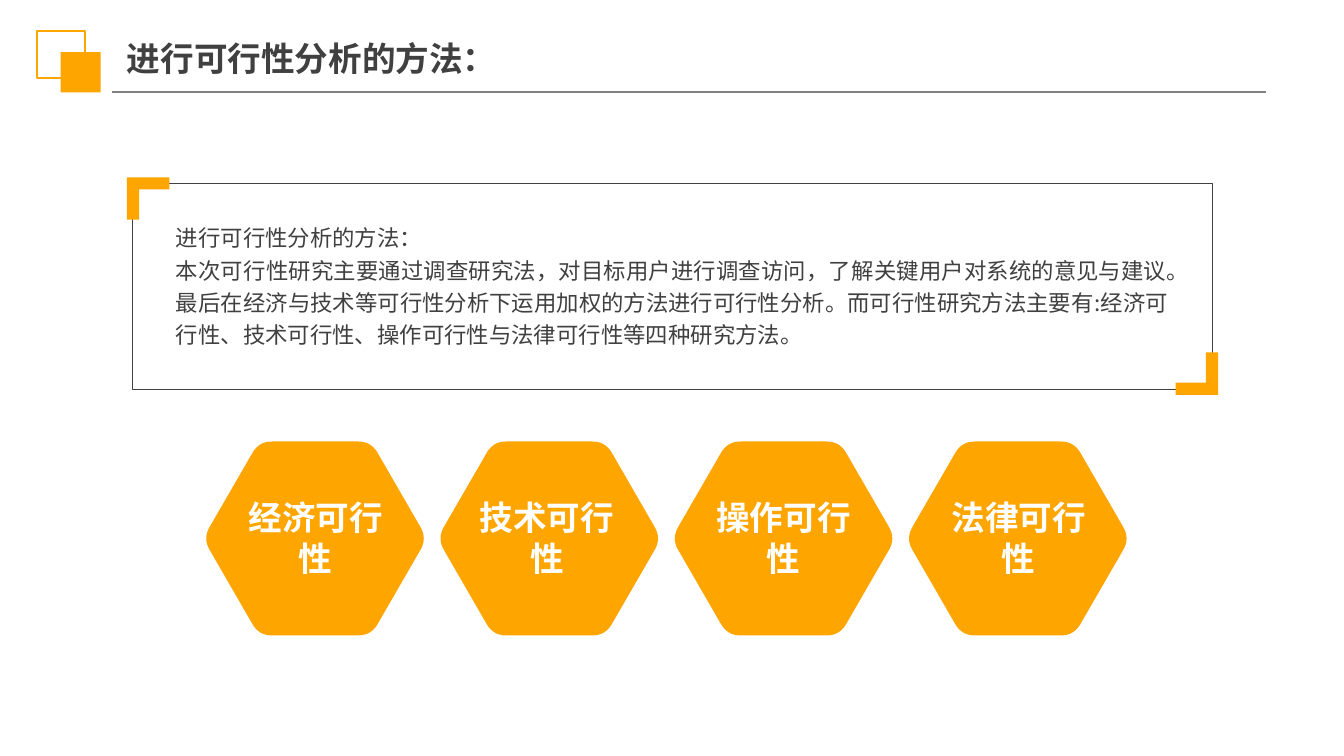
from math import cos, sin, pi

from lxml import etree
from pptx import Presentation
from pptx.dml.color import RGBColor
from pptx.enum.shapes import MSO_CONNECTOR, MSO_SHAPE
from pptx.enum.text import MSO_ANCHOR, MSO_AUTO_SIZE, PP_ALIGN
from pptx.oxml.ns import qn
from pptx.util import Pt

FONT = "Noto Sans CJK SC"
ORANGE = RGBColor(0xFF, 0xA5, 0x00)
DARK = RGBColor(0x40, 0x40, 0x40)
GRAY = RGBColor(0x80, 0x80, 0x80)
WHITE = RGBColor(0xFF, 0xFF, 0xFF)


def add_run(para, text, size, color, bold=False):
    run = para.add_run()
    run.text = text
    font = run.font
    font.size, font.bold, font.name = Pt(size), bold, FONT
    font.color.rgb = color
    etree.SubElement(run._r.get_or_add_rPr(), qn("a:ea"), typeface=FONT)


def add_shape(points):
    """Draw a closed orange outline through points given in points."""
    spots = [(x * 100, y * 100) for x, y in points]
    pen = slide.shapes.build_freeform(*spots[0], scale=Pt(1) / 100)
    pen.add_line_segments(spots[1:], close=True)
    shape = pen.convert_to_shape()
    shape.shadow.inherit = False
    shape.fill.solid()
    shape.fill.fore_color.rgb = ORANGE
    shape.line.fill.background()
    return shape


deck = Presentation()
deck.slide_width, deck.slide_height = Pt(720), Pt(405)
slide = deck.slides.add_slide(deck.slide_layouts[5])

# Title with its rule and squares
title = slide.shapes.title
title.left, title.top, title.width, title.height = Pt(68), Pt(16), Pt(234), Pt(30)
frame = title.text_frame
frame.margin_left = frame.margin_right = 0
frame.margin_top = frame.margin_bottom = Pt(3.6)
frame.auto_size = MSO_AUTO_SIZE.NONE
frame.word_wrap = True
frame.vertical_anchor = MSO_ANCHOR.MIDDLE
frame.paragraphs[0].alignment = PP_ALIGN.LEFT
add_run(frame.paragraphs[0], "进行可行性分析的方法：", 18, DARK, True)

rule = slide.shapes.add_connector(
    MSO_CONNECTOR.STRAIGHT, Pt(60), Pt(49.3), Pt(678), Pt(49.3))
rule.line.color.rgb = GRAY
rule.line.width = Pt(0.75)
etree.SubElement(rule._element.spPr, qn("a:effectLst"))

group = slide.shapes.add_group_shape()
for left, top, side, solid in [(20, 16.5, 25.5, False), (32.5, 28, 21.5, True)]:
    square = group.shapes.add_shape(
        MSO_SHAPE.RECTANGLE, Pt(left), Pt(top), Pt(side), Pt(side))
    square.shadow.inherit = False
    if solid:
        square.fill.solid()
        square.fill.fore_color.rgb = ORANGE
        square.line.fill.background()
    else:
        square.fill.background()
        square.line.color.rgb = ORANGE
        square.line.width = Pt(1)

# Framed text
box = slide.shapes.add_shape(
    MSO_SHAPE.ROUNDED_RECTANGLE, Pt(70.9), Pt(98.4), Pt(578.4), Pt(110.2))
box.adjustments[0] = 0
box.shadow.inherit = False
box.fill.background()
box.line.color.rgb = DARK
box.line.width = Pt(0.25)

body = slide.shapes.add_textbox(Pt(94.3), Pt(117.4), Pt(531.5), Pt(70))
frame = body.text_frame
frame.margin_left = frame.margin_top = frame.margin_right = frame.margin_bottom = 0
frame.word_wrap = True
frame.auto_size = MSO_AUTO_SIZE.SHAPE_TO_FIT_TEXT
lines = [
    "进行可行性分析的方法：",
    "本次可行性研究主要通过调查研究法，对目标用户进行调查访问，了解关键用户对系统的意见与建议。"
    "最后在经济与技术等可行性分析下运用加权的方法进行可行性分析。而可行性研究方法主要有:经济"
    "可行性、技术可行性、操作可行性与法律可行性等四种研究方法。",
]
for i, text in enumerate(lines):
    para = frame.add_paragraph() if i else frame.paragraphs[0]
    para.alignment = PP_ALIGN.JUSTIFY
    para.line_spacing = 1.2
    add_run(para, text, 12, DARK)

# Corner brackets
ARM, THICK = 22.7, 6.5
for left, top, turn in [(68, 95, 0), (629.8, 188.8, 180)]:
    bracket = add_shape([
        (left, top), (left + ARM, top), (left + ARM, top + THICK),
        (left + THICK, top + THICK), (left + THICK, top + ARM), (left, top + ARM)])
    bracket.rotation = turn

# Rounded hexagons with labels
RADIUS, CUT, STEPS = 60, 7, 8
FIRST, PITCH, MID = 168.8, 125.5, 288.5
labels = [("经济可行性", 131), ("技术可行性", 254.9),
          ("操作可行性", 381.6), ("法律可行性", 507.6)]
for i, (text, left) in enumerate(labels):
    hub = FIRST + i * PITCH
    tips = [(hub + RADIUS * cos(k * pi / 3), MID + RADIUS * sin(k * pi / 3))
            for k in range(6)]
    edge = []
    for k, (x, y) in enumerate(tips):
        (ax, ay), (bx, by) = tips[k - 1], tips[(k + 1) % 6]
        part = CUT / RADIUS
        for n in range(STEPS + 1):
            t = n / STEPS
            back, ahead = part * (1 - t) ** 2, part * t ** 2
            edge.append((x + back * (ax - x) + ahead * (bx - x),
                         y + back * (ay - y) + ahead * (by - y)))
    add_shape(edge)

    label = slide.shapes.add_textbox(Pt(left), Pt(266.4), Pt(76.3), Pt(44))
    frame = label.text_frame
    frame.margin_left = frame.margin_top = frame.margin_right = frame.margin_bottom = 0
    frame.word_wrap = True
    frame.auto_size = MSO_AUTO_SIZE.SHAPE_TO_FIT_TEXT
    frame.paragraphs[0].alignment = PP_ALIGN.CENTER
    add_run(frame.paragraphs[0], text, 18, WHITE, True)

deck.save("out.pptx")
